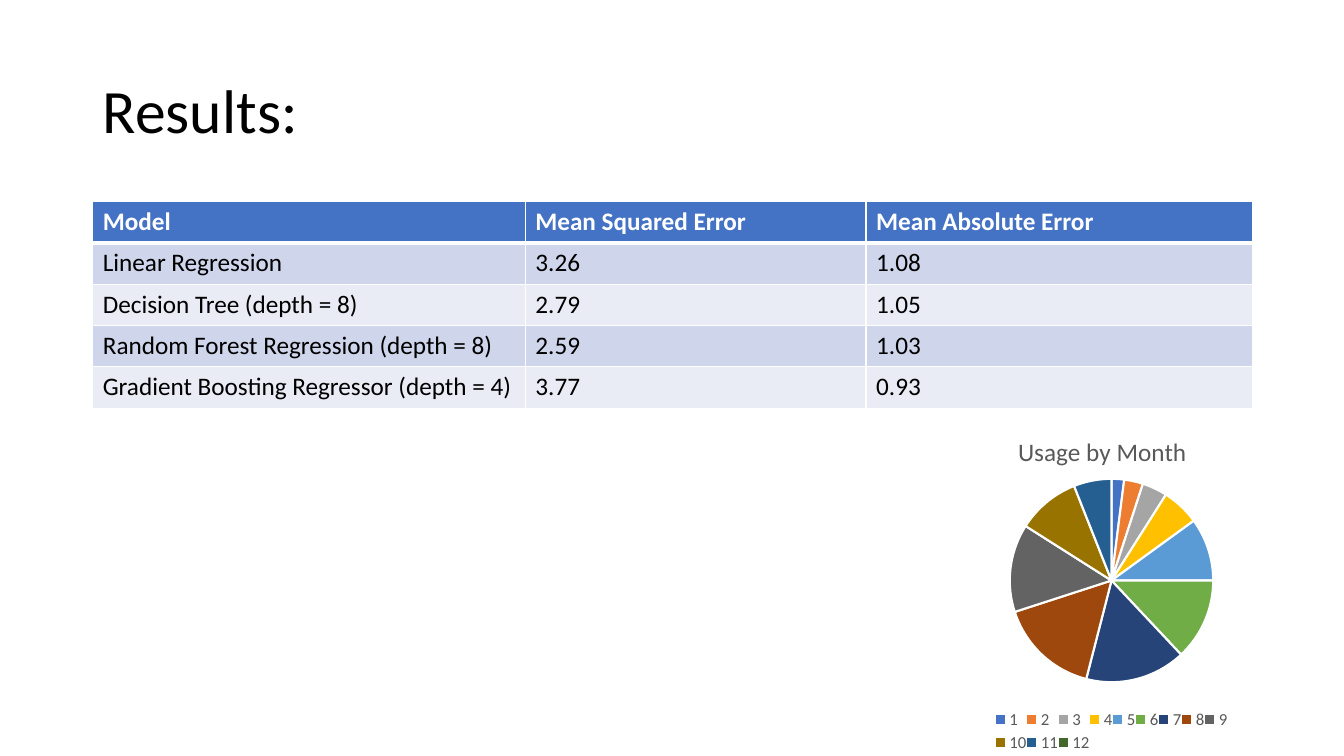
from lxml.etree import SubElement
from pptx import Presentation
from pptx.chart.data import CategoryChartData
from pptx.dml.color import RGBColor
from pptx.enum.chart import XL_CHART_TYPE as ChartType, XL_LEGEND_POSITION as LegendPosition
from pptx.enum.text import MSO_ANCHOR as Anchor, PP_ALIGN as Align
from pptx.oxml import parse_xml
from pptx.oxml.ns import nsdecls, qn
from pptx.util import Inches, Pt

FONT = "Calibri"
WHITE, BLACK, GREY = "FFFFFF", "000000", "595959"
HEADER_FILL, BAND_FILLS = "4472C4", ("CFD5EA", "E9EBF5")
MARGIN, CONTENT_WIDTH = 0.92, 11.5
COLUMN_WIDTHS, ROW_HEIGHT = (4.29, 3.38, 3.83), 0.41

RESULTS = [
    ("Model", "Mean Squared Error", "Mean Absolute Error"),
    ("Linear Regression", "3.26", "1.08"),
    ("Decision Tree (depth = 8)", "2.79", "1.05"),
    ("Random Forest Regression (depth = 8)", "2.59", "1.03"),
    ("Gradient Boosting Regressor (depth = 4)", "3.77", "0.93"),
]
MONTHLY_USAGE = (2, 3, 4, 6, 10, 13, 16, 16, 14, 10, 6, None)
MONTH_COLOURS = ("4472C4", "ED7D31", "A5A5A5", "FFC000", "5B9BD5", "70AD47",
                 "264478", "9E480E", "636363", "997300", "255E91", "43682B")


def colour(hex_value):
    return RGBColor.from_string(hex_value)


def format_font(font, size, hex_value, bold=False):
    font.name, font.size, font.bold = FONT, Pt(size), bold
    font.color.rgb = colour(hex_value)


def write(frame, text, *, size=18, hex_value=BLACK, bold=False, spacing=None):
    """Put one left-aligned paragraph into a text frame."""
    frame.text = text
    paragraph = frame.paragraphs[0]
    paragraph.alignment = Align.LEFT
    if spacing:
        paragraph.line_spacing = spacing
    format_font(paragraph.runs[0].font, size, hex_value, bold)


def add_borders(cell, top, bottom):
    """Draw white cell borders; top and bottom are widths in points."""
    properties = cell._tc.get_or_add_tcPr()
    for index, (side, width) in enumerate(zip("LRTB", (1, 1, top, bottom))):
        properties.insert(index, parse_xml(
            f'<a:ln{side} {nsdecls("a")} w="{Pt(width)}"><a:solidFill>'
            f'<a:srgbClr val="{WHITE}"/></a:solidFill></a:ln{side}>'))


def add_title(slide, text):
    title = slide.shapes.title
    title.left, title.top = Inches(MARGIN), Inches(0.4)
    title.width, title.height = Inches(CONTENT_WIDTH), Inches(1.45)
    title.text_frame.vertical_anchor = Anchor.MIDDLE
    write(title.text_frame, text, size=44, spacing=0.9)


def add_results_table(slide, rows):
    table = slide.shapes.add_table(
        len(rows), len(COLUMN_WIDTHS), Inches(MARGIN), Inches(2),
        Inches(CONTENT_WIDTH), Inches(ROW_HEIGHT * len(rows))).table
    for column, width in zip(table.columns, COLUMN_WIDTHS):
        column.width = Inches(width)
    for r, row in enumerate(rows):
        header = r == 0
        for c, text in enumerate(row):
            cell = table.cell(r, c)
            write(cell.text_frame, text, bold=header,
                  hex_value=WHITE if header else BLACK)
            cell.fill.solid()
            cell.fill.fore_color.rgb = colour(
                HEADER_FILL if header else BAND_FILLS[(r - 1) % 2])
            add_borders(cell, top=3 if r == 1 else 1, bottom=3 if header else 1)


def place(element, index, inner=False, **shares):
    """Set a chart part's layout as shares of the chart's size."""
    for old in element.findall(qn("c:layout")):
        element.remove(old)
    layout = parse_xml(f'<c:layout {nsdecls("c")}><c:manualLayout/></c:layout>')
    element.insert(index, layout)
    settings = {"layoutTarget": "inner"} if inner else {}
    settings.update(xMode="edge", yMode="edge", **shares)
    for tag, value in settings.items():
        SubElement(layout[0], qn(f"c:{tag}")).set("val", str(value))


def add_usage_pie(slide):
    usage = CategoryChartData()
    usage.categories = [str(month + 1) for month in range(len(MONTHLY_USAGE))]
    usage.add_series("Series 1", MONTHLY_USAGE)
    chart = slide.shapes.add_chart(
        ChartType.PIE, Inches(8.71), Inches(4.02), Inches(4.63), Inches(3.48),
        usage).chart
    format_font(chart.font, 10, BLACK)

    chart.has_title = True
    heading = chart.chart_title
    write(heading.text_frame, "Usage by Month", hex_value=GREY)
    place(heading._element, 1, x=0.29, y=0.07)

    chart.has_legend = True
    legend = chart.legend
    legend.position, legend.include_in_layout = LegendPosition.BOTTOM, False
    format_font(legend.font, 12, GREY)
    place(legend._element, 1, x=0.25, y=0.86, w=0.5, h=0.14)

    pie = chart.plots[0]
    pie.vary_by_categories = True
    place(pie._element.getparent(), 0, inner=True, x=0.28, y=0.21, w=0.44, h=0.58)
    for month, hex_value in enumerate(MONTH_COLOURS):
        slice_format = pie.series[0].points[month].format
        slice_format.fill.solid()
        slice_format.fill.fore_color.rgb = colour(hex_value)
        slice_format.line.color.rgb = colour(WHITE)
        slice_format.line.width = Pt(1.5)


def main():
    deck = Presentation()
    deck.slide_width, deck.slide_height = Inches(13.33), Inches(7.5)
    slide = deck.slides.add_slide(deck.slide_layouts.get_by_name("Title Only"))
    add_title(slide, "Results:")
    add_results_table(slide, RESULTS)
    add_usage_pie(slide)
    deck.save("out.pptx")


if __name__ == "__main__":
    main()
